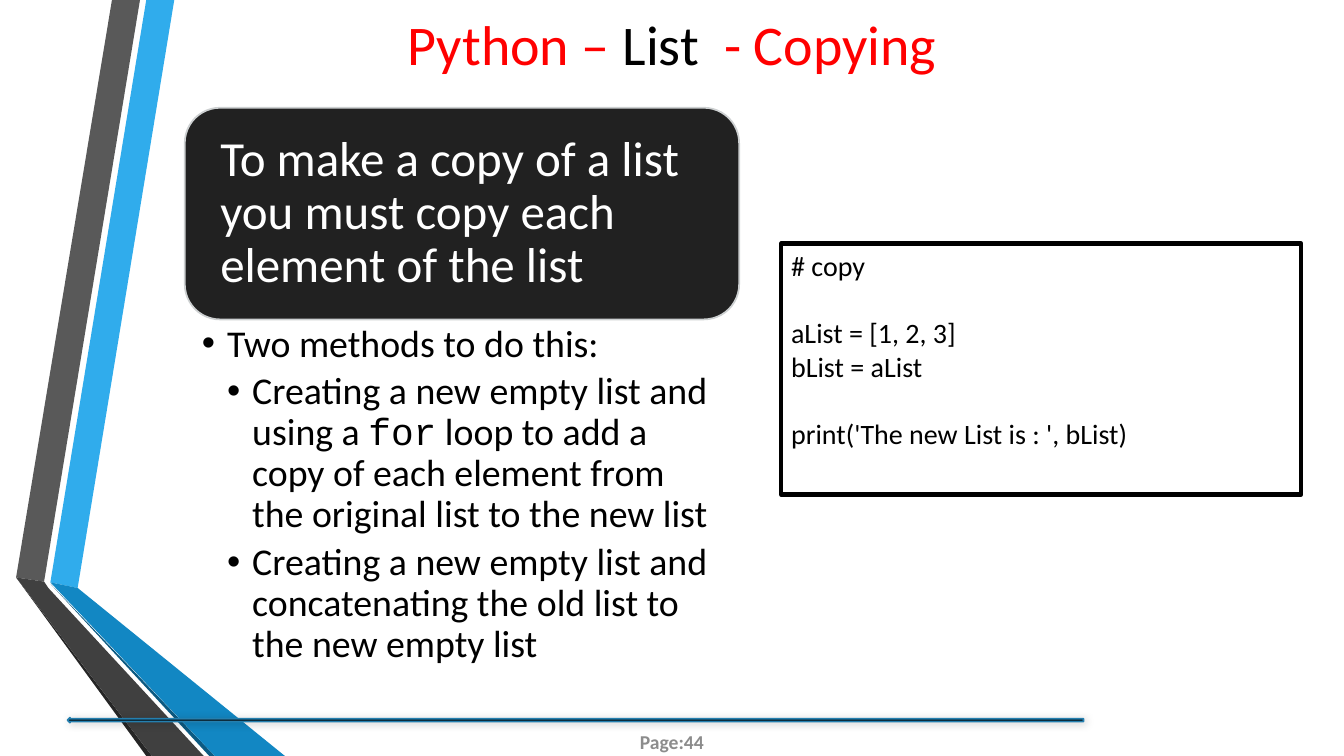
from collections import namedtuple

from lxml.etree import SubElement
from pptx import Presentation
from pptx.dml.color import RGBColor
from pptx.enum.shapes import MSO_SHAPE
from pptx.enum.text import MSO_ANCHOR, MSO_AUTO_SIZE, PP_ALIGN
from pptx.oxml.ns import qn
from pptx.util import Pt

BLACK = RGBColor(0x00, 0x00, 0x00)
WHITE = RGBColor(0xFF, 0xFF, 0xFF)
RED = RGBColor(0xFF, 0x00, 0x00)
CHARCOAL = RGBColor(0x21, 0x21, 0x21)
SILVER = RGBColor(0xCD, 0xD0, 0xD1)
PAGE_GREY = RGBColor(0x8C, 0x8C, 0x8C)
RULE_BLUE = RGBColor(0x24, 0x7F, 0xAF)
SKY = RGBColor(0x30, 0xAC, 0xEC)
BLUE = RGBColor(0x12, 0x87, 0xC3)
DEEP_BLUE = RGBColor(0x0C, 0x5A, 0x82)
GREY = RGBColor(0x59, 0x59, 0x59)
DARK_GREY = RGBColor(0x40, 0x40, 0x40)
NEAR_BLACK = RGBColor(0x26, 0x26, 0x26)

BODY_FONT, CODE_FONT = "Calibri", "Courier New"
Box = namedtuple("Box", "left top width height")

# Outlines in points from the top left corner of the ribbon
RIBBON_BANDS = [
    (SKY, [(24.5, 416), (44, 420), (113, 0), (93, 0)]),
    (GREY, [(88.5, 0), (68.5, 0), (0, 412.5), (20, 415.5)]),
    (NEAR_BLACK, [(0, 412.5), (93, 540), (97, 540)]),
    (DEEP_BLUE, [(24.5, 417), (138, 540), (142, 540)]),
    (BLUE, [(24.5, 416), (142, 540), (192, 540), (44, 420)]),
    (DARK_GREY, [(134, 540), (23, 420), (20, 415.5), (0, 412.5), (97, 540)]),
]
TITLE_RUNS = [("Python – ", RED), ("List  ", BLACK), ("- Copying", RED)]
KEY_POINT = "To make a copy of a list you must copy each element of the list"
METHODS = [
    (1, [("Two methods to do this:", BODY_FONT)]),
    (2, [("Creating a new empty list and using a ", BODY_FONT),
         ("for", CODE_FONT),
         (" loop to add a copy of each element from the original list "
          "to the new list", BODY_FONT)]),
    (2, [("Creating a new empty list and concatenating the old list "
          "to the new empty list", BODY_FONT)]),
]
# Each block of code lines is set off by one line of space
CODE_BLOCKS = [
    ["# copy"],
    ["aList = [1, 2, 3]", "bList = aList"],
    ["print('The new List is : ', bList)"],
]


def apply_format(target, **values):
    for name, value in values.items():
        setattr(target, name, value)


def in_points(box):
    return [Pt(length) for length in box]


def format_frame(frame, anchor, insets=(7.2, 3.6, 7.2, 3.6)):
    """Set wrapping, anchor and the left, top, right and bottom insets."""
    left, top, right, bottom = in_points(insets)
    apply_format(frame, word_wrap=True, auto_size=MSO_AUTO_SIZE.NONE,
                 vertical_anchor=anchor, margin_left=left, margin_top=top,
                 margin_right=right, margin_bottom=bottom)


def add_run(paragraph, text, size, color, name=BODY_FONT, bold=False):
    run = paragraph.add_run()
    run.text = text
    apply_format(run.font, size=Pt(size), name=name, bold=bold)
    run.font.color.rgb = color


def add_filled(slide, kind, box, fill, line, line_width):
    shape = slide.shapes.add_shape(kind, *in_points(box))
    shape.shadow.inherit = False
    if fill is None:
        shape.fill.background()
    else:
        shape.fill.solid()
        shape.fill.fore_color.rgb = fill
    shape.line.color.rgb = line
    shape.line.width = Pt(line_width)
    return shape


def add_ribbon(slide, box):
    for color, outline in RIBBON_BANDS:
        corners = [(Pt(box.left + x), Pt(box.top + y)) for x, y in outline]
        builder = slide.shapes.build_freeform(*corners[0], scale=1.0)
        builder.add_line_segments(corners[1:], close=True)
        band = builder.convert_to_shape()
        band.shadow.inherit = False
        band.fill.solid()
        band.fill.fore_color.rgb = color
        band.line.fill.background()


def add_footer(slide, box):
    """Place the rule along the top of the box and the page number below it."""
    rule = add_filled(slide, MSO_SHAPE.LEFT_ARROW, box._replace(height=3.6),
                      BLACK, RULE_BLUE, 1.25)
    effects = rule._element.spPr.find(qn("a:effectLst"))
    shadow = SubElement(effects, qn("a:outerShdw"), blurRad=str(Pt(6)),
                        dist=str(Pt(1)), dir="2700000", rotWithShape="0")
    shade = SubElement(shadow, qn("a:srgbClr"), val=str(BLACK))
    SubElement(shade, qn("a:alpha"), val="20000")

    page_box = Box(box.left + 368, box.top + 3, 127.5, 28.8)
    page = slide.shapes.add_textbox(*in_points(page_box)).text_frame
    format_frame(page, MSO_ANCHOR.MIDDLE, (2.9, 1.4, 2.9, 1.4))
    page.paragraphs[0].alignment = PP_ALIGN.CENTER
    add_run(page.paragraphs[0], "Page:44", 14, PAGE_GREY, bold=True)


def add_title(slide, box):
    title = slide.shapes.title
    left, top, width, height = in_points(box)
    apply_format(title, left=left, top=top, width=width, height=height)
    format_frame(title.text_frame, MSO_ANCHOR.MIDDLE)
    heading = title.text_frame.paragraphs[0]
    heading.alignment = PP_ALIGN.CENTER
    for text, color in TITLE_RUNS:
        add_run(heading, text, 40, color)


def add_key_point(slide, box):
    card = add_filled(slide, MSO_SHAPE.ROUNDED_RECTANGLE, box,
                      CHARCOAL, SILVER, 1.25)
    format_frame(card.text_frame, MSO_ANCHOR.MIDDLE, (18, 18, 18, 18))
    paragraph = card.text_frame.paragraphs[0]
    apply_format(paragraph, alignment=PP_ALIGN.LEFT, line_spacing=0.9)
    add_run(paragraph, KEY_POINT, 35, WHITE)


def add_methods(slide, box):
    frame = slide.shapes.add_textbox(*in_points(box)).text_frame
    format_frame(frame, MSO_ANCHOR.TOP, (12.2, 3.6, 19.4, 3.6))
    for index, (level, runs) in enumerate(METHODS):
        paragraph = frame.add_paragraph() if index else frame.paragraphs[0]
        properties = paragraph._p.get_or_add_pPr()
        properties.set("marL", str(Pt(18 * level)))
        properties.set("indent", str(Pt(-18)))
        SubElement(properties, qn("a:buFont"), typeface="Arial")
        SubElement(properties, qn("a:buChar"), char="•")
        apply_format(paragraph, level=level, alignment=PP_ALIGN.LEFT,
                     line_spacing=0.9, space_after=Pt(5))
        for text, font_name in runs:
            add_run(paragraph, text, 27, BLACK, font_name)


def add_code(slide, box):
    frame = add_filled(slide, MSO_SHAPE.RECTANGLE, box, None,
                       BLACK, 3).text_frame
    format_frame(frame, MSO_ANCHOR.TOP)
    for block_index, block in enumerate(CODE_BLOCKS):
        for line_index, text in enumerate(block):
            is_first = block_index == line_index == 0
            paragraph = frame.paragraphs[0] if is_first else frame.add_paragraph()
            paragraph.alignment = PP_ALIGN.LEFT
            if block_index and line_index == 0:
                paragraph.space_before = Pt(24)
            add_run(paragraph, text, 20, BLACK)


def main():
    presentation = Presentation()
    apply_format(presentation, slide_width=Pt(960), slide_height=Pt(540))
    slide = presentation.slides.add_slide(presentation.slide_layouts[5])
    add_ribbon(slide, Box(11.5, 0, 192, 540))
    add_footer(slide, Box(48.2, 512.6, 725.8, 27.4))
    add_title(slide, Box(0, 0, 960, 62))
    key_point = Box(132, 77, 396, 151.2)
    add_key_point(slide, key_point)
    add_methods(slide, key_point._replace(
        top=key_point.top + key_point.height, height=262))
    add_code(slide, Box(558, 174, 371.5, 179.3))
    presentation.save("out.pptx")


if __name__ == "__main__":
    main()
